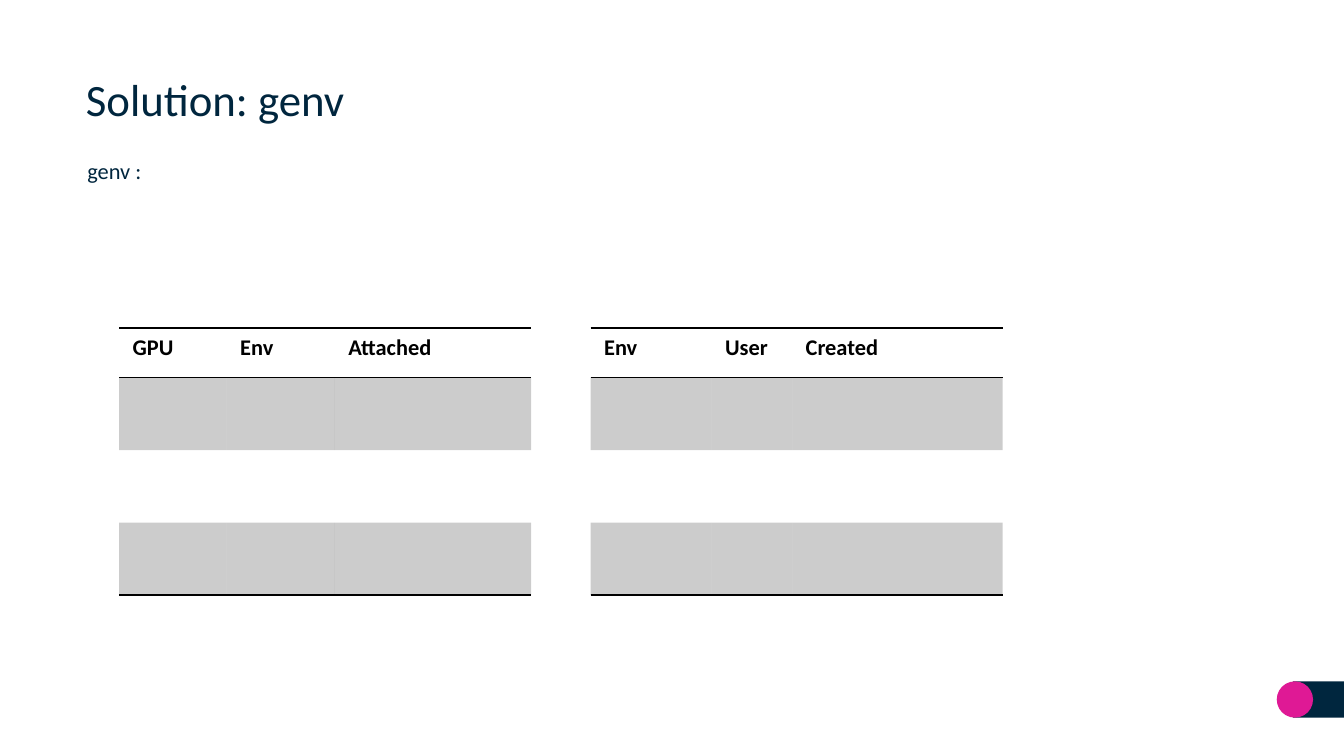
"""Build the slide that introduces genv with its two environment tables."""
from lxml import etree
from pptx import Presentation
from pptx import util as u
from pptx.dml.color import RGBColor
from pptx.enum import shapes, text
from pptx.oxml.ns import qn

NAVY = RGBColor(0x00, 0x26, 0x3E)
PINK = RGBColor(0xDF, 0x19, 0x95)
BLACK = RGBColor(0x00, 0x00, 0x00)
FONT = "Calibri"
PLAIN_STYLE = "{2D5ABB26-0587-4C30-8999-92F81FD0307C}"

presentation = Presentation()
presentation.slide_width = u.Inches(10)
presentation.slide_height = presentation.slide_width * 9 // 16
slide = presentation.slides.add_slide(presentation.slide_layouts[6])
column = presentation.slide_width / 100
row = presentation.slide_height / 56.25


def place(left, top, width, height):
    return [round(n) for n in (left * column, top * row, width * column, height * row)]


def add_border(cell, side):
    line = etree.SubElement(cell._tc.get_or_add_tcPr(), qn(f"a:{side}"), w=str(u.Pt(1)))
    fill = etree.SubElement(line, qn("a:solidFill"))
    etree.SubElement(fill, qn("a:srgbClr"), val=str(BLACK))


for kind, color, box in (
    (shapes.MSO_SHAPE.RECTANGLE, NAVY, (96.2, 50.7, 3.8, 2.7)),
    (shapes.MSO_SHAPE.OVAL, PINK, (95, 50.7, 2.7, 2.7)),
):
    shape = slide.shapes.add_shape(kind, *place(*box))
    shape.shadow.inherit = False
    shape.fill.solid()
    shape.fill.fore_color.rgb = color
    shape.line.fill.background()

for words, size, inset, anchor, spacing, box in (
    ("Solution: genv", 24, 0.1, text.MSO_ANCHOR.MIDDLE, 1, (5.4, 4.6, 89.5, 5.5)),
    ("genv :", 12, 0.01, text.MSO_ANCHOR.TOP, 1.15, (6.4, 11.3, 50.4, 2.5)),
):
    frame = slide.shapes.add_textbox(*place(*box)).text_frame
    frame.word_wrap = True
    frame.vertical_anchor = anchor
    frame.margin_left = frame.margin_right = u.Inches(inset)
    frame.margin_top = frame.margin_bottom = u.Inches(inset)
    paragraph = frame.paragraphs[0]
    paragraph.text = words
    paragraph.line_spacing = spacing
    paragraph.font.name = FONT
    paragraph.font.size = u.Pt(size)
    paragraph.font.color.rgb = NAVY

row_heights = (3.7, 5.4, 5.4, 5.4)
for left, headings, widths in (
    (43.95, ("Env", "User", "Created"), (9, 6, 15.65)),
    (8.87, ("GPU", "Env", "Attached"), (8, 8.05, 14.6)),
):
    box = place(left, 24.4, sum(widths), sum(row_heights))
    table = slide.shapes.add_table(len(row_heights), len(widths), *box).table
    table.first_row = table.horz_banding = False
    table._tbl.tblPr.find(qn("a:tableStyleId")).text = PLAIN_STYLE
    for table_row, height in zip(table.rows, row_heights):
        table_row.height = round(height * row)
    for index, (heading, width) in enumerate(zip(headings, widths)):
        table.columns[index].width = round(width * column)
        header = table.cell(0, index)
        add_border(header, "lnT")
        add_border(header, "lnB")
        add_border(table.cell(len(row_heights) - 1, index), "lnB")
        paragraph = header.text_frame.paragraphs[0]
        paragraph.text = heading
        paragraph.font.name = FONT
        paragraph.font.size = u.Pt(12)
        paragraph.font.bold = True
        paragraph.font.color.rgb = BLACK
        for number in range(len(row_heights)):
            cell = table.cell(number, index)
            if number % 2 == 0:
                cell.fill.background()
                continue
            cell.fill.solid()
            cell.fill.fore_color.rgb = BLACK
            shade = cell._tc.tcPr.find(qn("a:solidFill")).find(qn("a:srgbClr"))
            etree.SubElement(shade, qn("a:alpha"), val="20000")

presentation.save("out.pptx")
